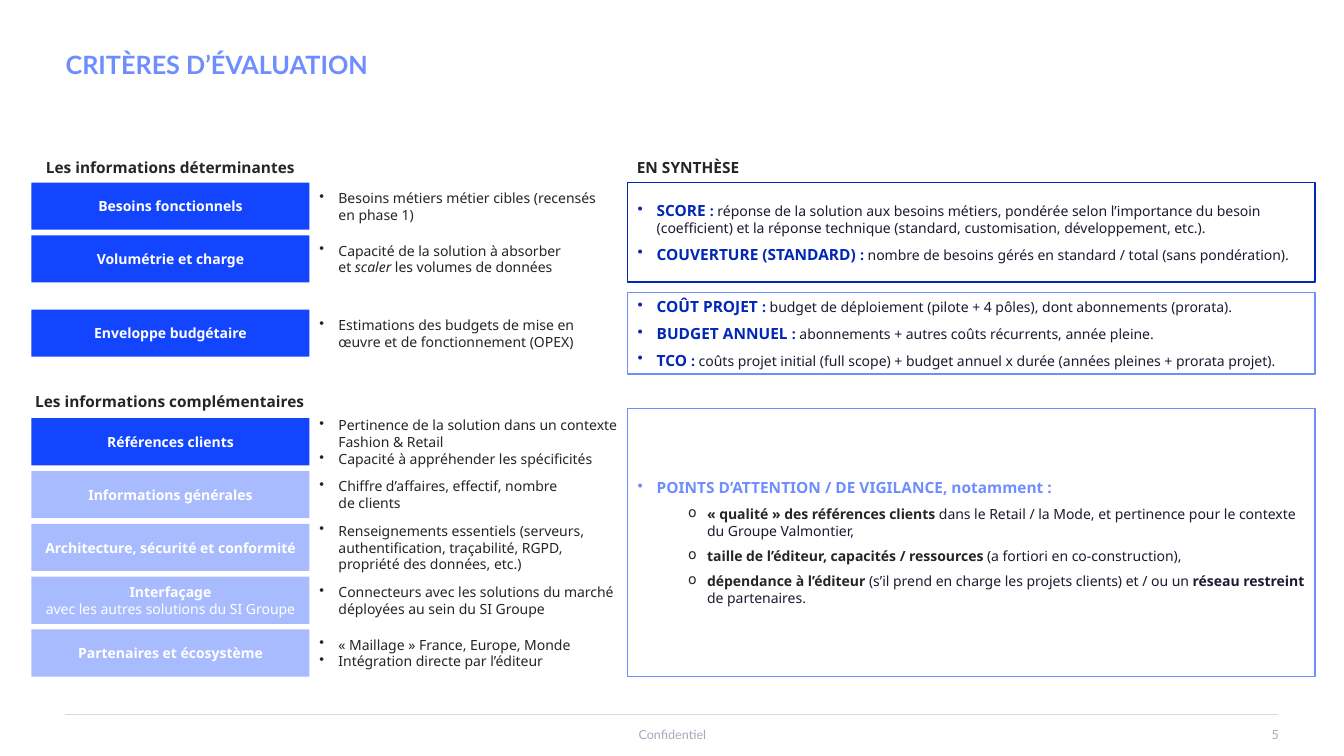
"""Build the evaluation criteria slide."""
from dataclasses import dataclass

from lxml import etree
from pptx import Presentation
from pptx.dml.color import RGBColor
from pptx.enum.shapes import MSO_CONNECTOR, MSO_SHAPE
from pptx.enum.text import MSO_ANCHOR, MSO_AUTO_SIZE, PP_ALIGN
from pptx.oxml.ns import qn
from pptx.util import Cm, Pt

LEFT, CENTER, RIGHT = PP_ALIGN.LEFT, PP_ALIGN.CENTER, PP_ALIGN.RIGHT
TOP, MIDDLE = MSO_ANCHOR.TOP, MSO_ANCHOR.MIDDLE
BODY_FONT, FRAME_FONT = "Noto Sans", "Lato"
NAVY, BLUE, SKY, PALE = "0027B6", "1345FF", "6E8DFF", "A8BBFF"
WHITE, DARK, INK, GREY, RULE = "FFFFFF", "252525", "1A1C30", "ABA8BA", "D9D9D9"
LABEL_LEFT, LABEL_WIDTH, ROW_HEIGHT, ROW_PITCH = 0.79, 7.01, 1.19, 1.33
DETAIL_LEFT, DETAIL_WIDTH = 7.8, 8
PANEL_LEFT, PANEL_WIDTH = 15.82, 17.32
KEY_TOP, BUDGET_TOP, EXTRA_TOP = 4.6, 7.8, 10.54


@dataclass
class Span:
    """A stretch of text; None keeps the paragraph's format."""
    text: str
    size: float | None = None
    color: str | None = None
    bold: bool | None = None
    italic: bool | None = None


@dataclass
class Para:
    """A paragraph and its format."""
    spans: list[Span]
    size: float = 10
    color: str = DARK
    bold: bool | None = None
    align: PP_ALIGN = LEFT
    bullet: str = ""
    indent: float = 0.48
    after: float = 0
    spacing: float | None = None
    font: str = BODY_FONT


@dataclass
class Criterion:
    """A coloured label with its bulleted details."""
    top: float
    fill: str
    label: list[Span]
    details: list[list[Span]]


@dataclass
class Panel:
    """An outlined summary box."""
    top: float
    height: float
    line: str
    paras: list[Para]


def rgb(value: str) -> RGBColor:
    """Turn a hex string into a colour."""
    return RGBColor.from_string(value)


def set_font(font, size, color, bold, italic=None) -> None:
    """Apply the given attributes to a font."""
    if size:
        font.size = Pt(size)
    if color:
        font.color.rgb = rgb(color)
    if bold is not None:
        font.bold = bold
    if italic is not None:
        font.italic = italic


def fill_text(frame, paras: list[Para], anchor=MIDDLE) -> None:
    """Write paragraphs into a text frame."""
    frame.word_wrap = True
    frame.auto_size = MSO_AUTO_SIZE.NONE
    frame.vertical_anchor = anchor
    for index, para in enumerate(paras):
        paragraph = frame.add_paragraph() if index else frame.paragraphs[0]
        paragraph.alignment = para.align
        paragraph.space_before = Pt(0)
        paragraph.space_after = Pt(para.after)
        if para.spacing:
            paragraph.line_spacing = para.spacing
        if para.bullet:
            properties = paragraph._p.get_or_add_pPr()
            properties.set("marL", str(Cm(para.indent)))
            properties.set("indent", str(-Cm(0.48)))
            etree.SubElement(properties, qn("a:buChar"), char=para.bullet)
        paragraph.font.name = para.font
        set_font(paragraph.font, para.size, para.color, para.bold)
        for span in para.spans:
            for number, line in enumerate(span.text.split("\n")):
                if number:
                    paragraph.add_line_break()
                run = paragraph.add_run()
                run.text = line
                set_font(run.font, span.size, span.color, span.bold, span.italic)


def add_text(page, left, top, width, height, paras: list[Para], anchor=MIDDLE) -> None:
    """Add a text box, in centimetres."""
    box = page.shapes.add_textbox(Cm(left), Cm(top), Cm(width), Cm(height))
    fill_text(box.text_frame, paras, anchor)


def add_box(page, left, top, width, height, fill, line, paras: list[Para]) -> None:
    """Add a filled rectangle with text, in centimetres."""
    box = page.shapes.add_shape(MSO_SHAPE.RECTANGLE, Cm(left), Cm(top), Cm(width), Cm(height))
    box.shadow.inherit = False
    box.fill.solid()
    box.fill.fore_color.rgb = rgb(fill)
    if line:
        box.line.color.rgb = rgb(line)
        box.line.width = Pt(1)
    else:
        box.line.fill.background()
    fill_text(box.text_frame, paras)


def add_criterion(page, item: Criterion) -> None:
    """Draw a label and its details on one row."""
    add_box(page, LABEL_LEFT, item.top, LABEL_WIDTH, ROW_HEIGHT, item.fill, "",
            [Para(item.label, color=WHITE, align=CENTER)])
    add_text(page, DETAIL_LEFT, item.top, DETAIL_WIDTH, ROW_HEIGHT,
             [Para(spans, bullet="•") for spans in item.details])


def term(name: str, text: str) -> Para:
    """Make a summary bullet with a highlighted name."""
    return Para([Span(name, 11, NAVY, True), Span(": ", 10, NAVY, True), Span(text, 10, INK)],
                color=NAVY, bullet="•", after=6)


def caution(*spans: Span) -> Para:
    """Make a second-level bullet."""
    return Para(list(spans), bullet="o", indent=1.75, after=6)


def strong(text: str, color: str = DARK) -> Span:
    """Make a bold span."""
    return Span(text, color=color, bold=True)


def plain(text: str) -> Span:
    """Make an ink-coloured span."""
    return Span(text, color=INK)


def main() -> None:
    """Build and save the slide."""
    criteria = [
        Criterion(KEY_TOP, BLUE, [strong("Besoins fonctionnels", WHITE)],
                  [[Span("Besoins métiers métier cibles (recensés\nen phase 1)")]]),
        Criterion(KEY_TOP + ROW_PITCH, BLUE, [strong("Volumétrie et charge", WHITE)],
                  [[Span("Capacité de la solution à absorber\net "), Span("scaler", italic=True),
                    Span(" les volumes de données")]]),
        Criterion(BUDGET_TOP, BLUE, [strong("Enveloppe budgétaire", WHITE)],
                  [[Span("Estimations des budgets de mise en œuvre et de fonctionnement (OPEX)")]]),
    ]
    extras = [
        (BLUE, [strong("Références clients", WHITE)],
         [[Span("Pertinence de la solution dans un contexte Fashion & Retail")],
          [Span("Capacité à appréhender les spécificités")]]),
        (PALE, [strong("Informations générales", WHITE)],
         [[Span("Chiffre d’affaires, effectif, nombre\nde clients")]]),
        (PALE, [strong("Architecture, sécurité et conformité", WHITE)],
         [[Span("Renseignements essentiels (serveurs, authentification, traçabilité, RGPD, "
                "propriété des données, etc.)")]]),
        (PALE, [strong("Interfaçage\n", WHITE), Span("avec les autres solutions du SI Groupe")],
         [[Span("Connecteurs avec les solutions du marché déployées au sein du SI Groupe")]]),
        (PALE, [strong("Partenaires et écosystème", WHITE)],
         [[Span("« Maillage » France, Europe, Monde")], [Span("Intégration directe par l’éditeur")]]),
    ]
    criteria += [Criterion(EXTRA_TOP + row * ROW_PITCH, *extra) for row, extra in enumerate(extras)]
    panels = [
        Panel(KEY_TOP, 2.51, NAVY, [
            term("SCORE ", "réponse de la solution aux besoins métiers, pondérée selon l’importance du "
                 "besoin (coefficient) et la réponse technique (standard, customisation, développement, etc.)."),
            term("COUVERTURE (STANDARD) ", "nombre de besoins gérés en standard / total (sans pondération).")]),
        Panel(7.37, 2.06, SKY, [
            term("COÛT PROJET ", "budget de déploiement (pilote + 4 pôles), dont abonnements (prorata)."),
            term("BUDGET ANNUEL ", "abonnements + autres coûts récurrents, année pleine."),
            term("TCO ", "coûts projet initial (full scope) + budget annuel x durée "
                 "(années pleines + prorata projet).")]),
        Panel(10.29, 6.76, SKY, [
            Para([Span("POINTS D’ATTENTION / DE VIGILANCE, notamment :")], 11, SKY, True,
                 bullet="•", after=6),
            caution(strong("« qualité » des références clients "),
                    plain("dans le Retail / la Mode, et pertinence pour le contexte du Groupe Valmontier,")),
            caution(strong("taille de l’éditeur, capacités / ressources "),
                    plain("(a fortiori en co-construction),")),
            caution(strong("dépendance à l’éditeur "),
                    plain("(s’il prend en charge les projets clients) et / ou un "),
                    strong("réseau restreint", INK), plain(" de partenaires."))]),
    ]
    headings = [
        (LABEL_LEFT, 3.86, LABEL_WIDTH, CENTER, "Les informations déterminantes"),
        (0.28, 9.75, DETAIL_WIDTH, CENTER, "Les informations complémentaires"),
        (15.8, 3.86, DETAIL_WIDTH, LEFT, "EN SYNTHÈSE"),
    ]
    deck = Presentation()
    deck.slide_width, deck.slide_height = Cm(33.87), Cm(19.05)
    page = deck.slides.add_slide(deck.slide_layouts[5])
    title = page.shapes.title
    title.left, title.top, title.width, title.height = Cm(1.4), Cm(1.19), Cm(30.12), Cm(0.97)
    fill_text(title.text_frame, [Para([Span("CRITÈRES D’ÉVALUATION")], 18, SKY, True,
                                      spacing=0.9, font=FRAME_FONT)])
    rule = page.shapes.add_connector(MSO_CONNECTOR.STRAIGHT, Cm(1.65), Cm(18.01), Cm(32.21), Cm(18.01))
    rule.line.color.rgb = rgb(RULE)
    rule.line.width = Pt(1)
    etree.SubElement(rule._element.spPr, qn("a:effectLst"))
    for left, top, width, align, text in headings:
        add_text(page, left, top, width, 0.74, [Para([Span(text)], 11, bold=True, align=align)], TOP)
    for item in criteria:
        add_criterion(page, item)
    for panel in panels:
        add_box(page, PANEL_LEFT, panel.top, PANEL_WIDTH, panel.height, WHITE, panel.line, panel.paras)
    for left, width, align, text in [(11.23, 11.43, CENTER, "Confidentiel"), (31.34, 1.14, RIGHT, "5")]:
        add_text(page, left, 18.21, width, 0.62,
                 [Para([Span(text)], 9, GREY, align=align, font=FRAME_FONT)])
    deck.save("out.pptx")


if __name__ == "__main__":
    main()
